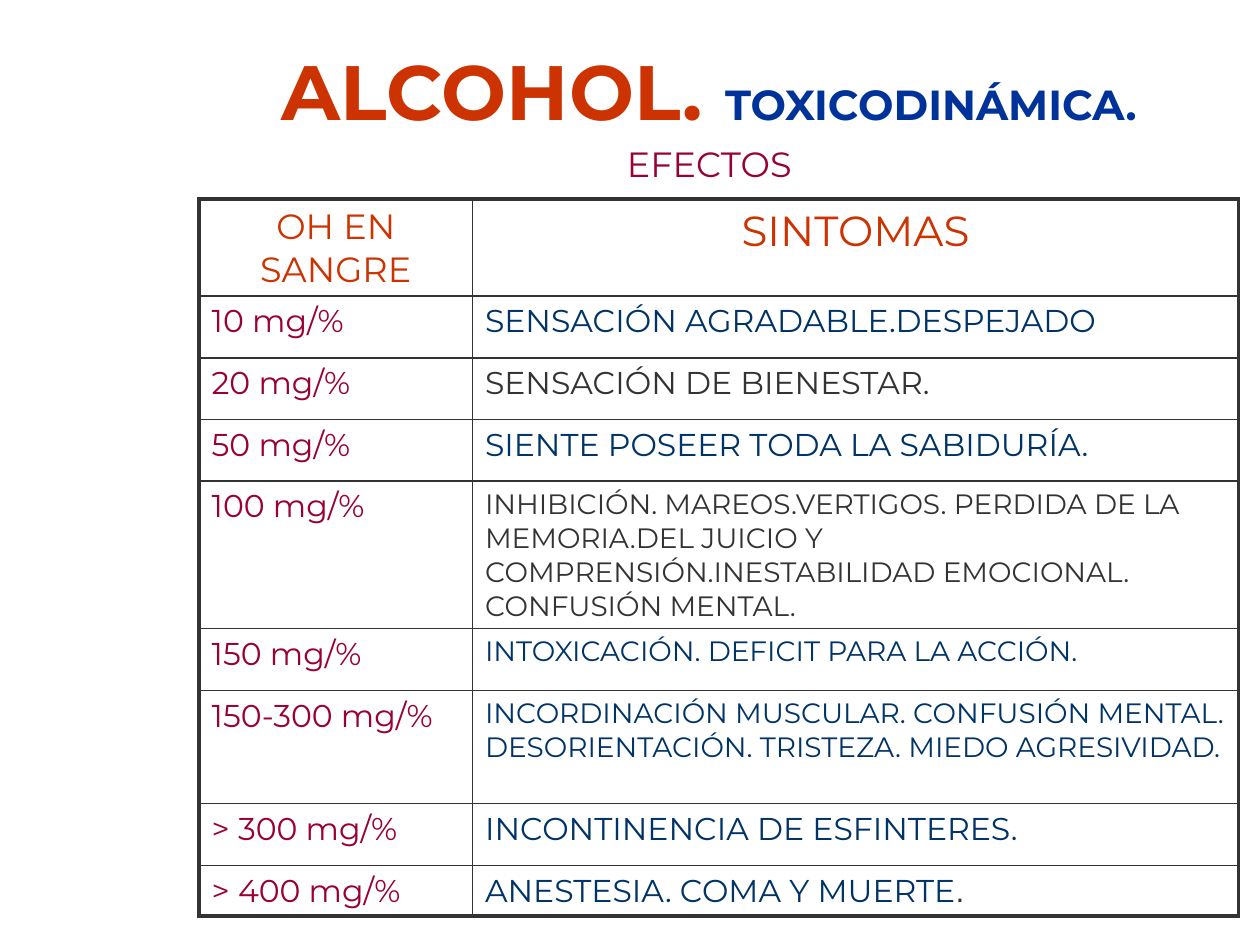
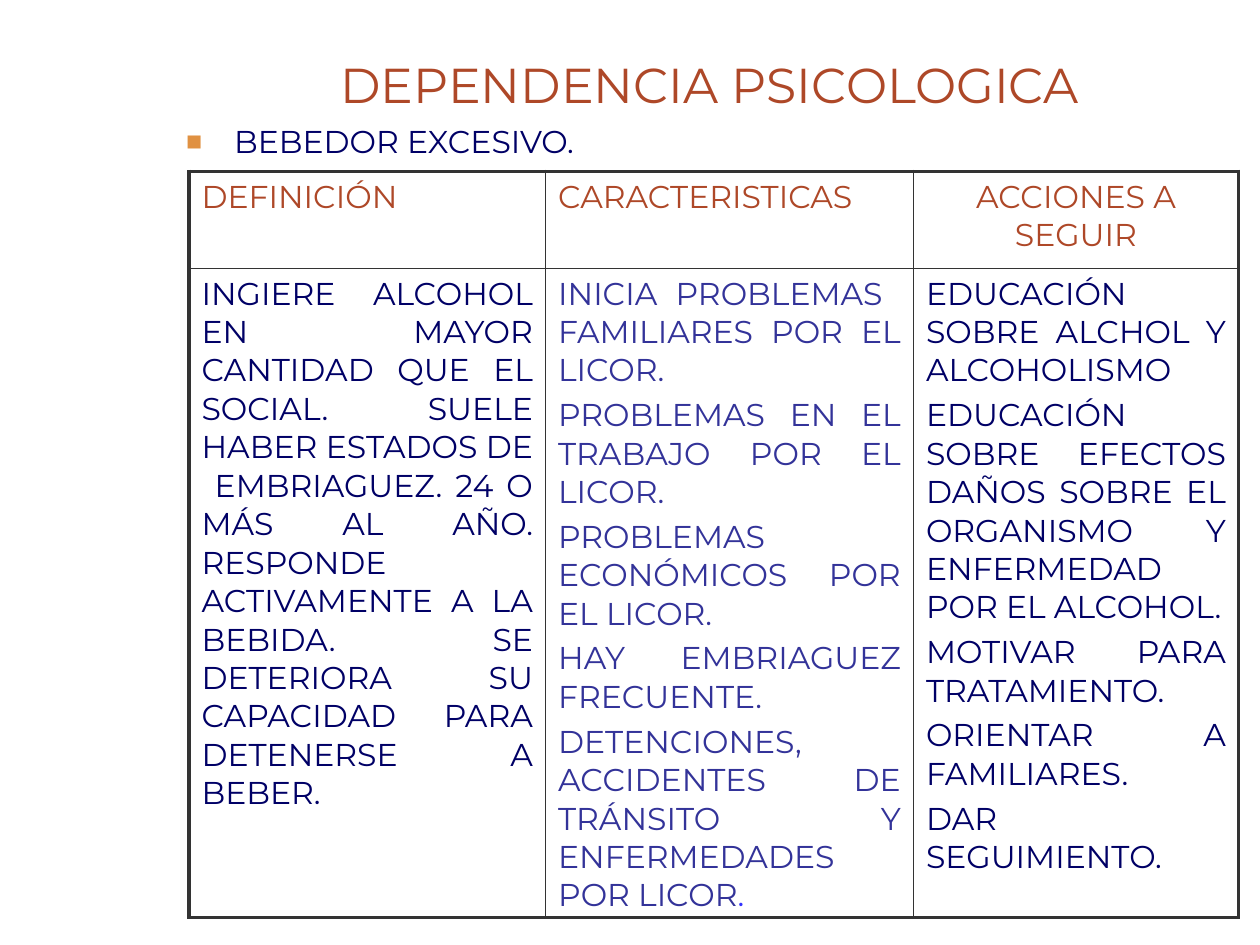
from dataclasses import dataclass

from lxml import etree
from pptx import Presentation
from pptx.dml.color import RGBColor
from pptx.enum.text import MSO_ANCHOR, PP_ALIGN
from pptx.oxml.ns import qn
from pptx.util import Inches, Pt

FONT = "Montserrat"
ORANGE = RGBColor(0xCC, 0x33, 0x00)
BLUE = RGBColor(0x00, 0x33, 0x99)
WINE = RGBColor(0x99, 0x00, 0x33)
TEAL = RGBColor(0x00, 0x33, 0x66)
GRAY = RGBColor(0x33, 0x33, 0x33)
RUST = RGBColor(0xAE, 0x48, 0x28)
NAVY = RGBColor(0x00, 0x00, 0x66)
INDIGO = RGBColor(0x33, 0x33, 0x99)
BRIGHT_BLUE = RGBColor(0x33, 0x33, 0xFF)
BULLET_COLOR = RGBColor(0xE0, 0x91, 0x42)

TEXT_LEFT, TEXT_WIDTH = 1.38, 8.5
OUTER_LINE, INNER_LINE = Pt(2.25), Pt(1)

LEFT, CENTER, JUSTIFY = PP_ALIGN.LEFT, PP_ALIGN.CENTER, PP_ALIGN.JUSTIFY


@dataclass
class Run:
    text: str
    size: int
    color: RGBColor
    bold: bool = False
    font: str = FONT


@dataclass
class Cell:
    """Paragraphs, each a list of runs, that share one alignment."""
    paragraphs: list
    alignment: PP_ALIGN = LEFT


def simple_cell(text, size, color, alignment=LEFT):
    return Cell([[Run(text, size, color)]], alignment)


EFFECTS = [
    ("10 mg/%", "SENSACIÓN AGRADABLE.DESPEJADO", 18, TEAL),
    ("20 mg/%", "SENSACIÓN DE BIENESTAR.", 18, GRAY),
    ("50 mg/%", "SIENTE POSEER TODA LA SABIDURÍA.", 18, TEAL),
    ("100 mg/%", "INHIBICIÓN. MAREOS.VERTIGOS. PERDIDA DE LA MEMORIA.DEL JUICIO Y "
     "COMPRENSIÓN.INESTABILIDAD EMOCIONAL. CONFUSIÓN MENTAL.", 16, GRAY),
    ("150 mg/%", "INTOXICACIÓN. DEFICIT PARA LA ACCIÓN.", 16, TEAL),
    ("150-300 mg/%", "INCORDINACIÓN MUSCULAR. CONFUSIÓN MENTAL. DESORIENTACIÓN. "
     "TRISTEZA. MIEDO AGRESIVIDAD.", 16, TEAL),
    ("> 300 mg/%", "INCONTINENCIA DE ESFINTERES.", 18, TEAL),
    ("> 400 mg/%", "ANESTESIA. COMA Y MUERTE", 18, TEAL),
]
DEFINITION = (
    "INGIERE ALCOHOL EN MAYOR CANTIDAD QUE EL SOCIAL. SUELE HABER ESTADOS DE  EMBRIAGUEZ. "
    "24 O MÁS AL AÑO. RESPONDE ACTIVAMENTE A LA BEBIDA. SE DETERIORA SU CAPACIDAD PARA "
    "DETENERSE A BEBER."
)
FEATURES = [
    "INICIA PROBLEMAS  FAMILIARES POR EL LICOR.",
    "PROBLEMAS EN EL TRABAJO POR EL LICOR.",
    "PROBLEMAS ECONÓMICOS POR EL LICOR.",
    "HAY EMBRIAGUEZ FRECUENTE.",
    "DETENCIONES, ACCIDENTES DE TRÁNSITO Y ENFERMEDADES POR LICOR",
]
ACTIONS = [
    "EDUCACIÓN SOBRE ALCHOL Y ALCOHOLISMO",
    "EDUCACIÓN SOBRE EFECTOS DAÑOS SOBRE EL ORGANISMO Y ENFERMEDAD POR EL ALCOHOL.",
    "MOTIVAR PARA TRATAMIENTO.",
    "ORIENTAR A FAMILIARES.",
    "DAR SEGUIMIENTO.",
]


def write_paragraph(paragraph, runs, alignment, spaced=True):
    paragraph.alignment = alignment
    if spaced:
        paragraph.space_before = Pt(0.2 * runs[0].size)
    for item in runs:
        run = paragraph.add_run()
        run.text = item.text
        run.font.name = item.font
        run.font.size = Pt(item.size)
        run.font.bold = item.bold
        run.font.color.rgb = item.color


def add_text_box(slide, top, height):
    box = slide.shapes.add_textbox(
        Inches(TEXT_LEFT), Inches(top), Inches(TEXT_WIDTH), Inches(height))
    box.text_frame.word_wrap = True
    return box.text_frame


def add_title(slide, height, runs):
    frame = add_text_box(slide, 0.5, height)
    frame.vertical_anchor = MSO_ANCHOR.MIDDLE
    write_paragraph(frame.paragraphs[0], runs, CENTER, spaced=False)


def add_subtitle(slide, top, height, run, alignment=LEFT, bullet=False):
    paragraph = add_text_box(slide, top, height).paragraphs[0]
    write_paragraph(paragraph, [run], alignment)
    properties = paragraph._p.get_or_add_pPr()
    properties.set("marL", str(Inches(0.38)))
    properties.set("indent", str(Inches(-0.38)))
    if bullet:
        color = etree.SubElement(properties, qn("a:buClr"))
        etree.SubElement(color, qn("a:srgbClr"), val=str(BULLET_COLOR))
        etree.SubElement(properties, qn("a:buSzPct"), val="85000")
        etree.SubElement(properties, qn("a:buFont"), typeface="Arial")
        etree.SubElement(properties, qn("a:buChar"), char="■")


def set_borders(cell, outer_sides):
    """Draw all four borders, thicker on the sides that face out of the table."""
    properties = cell._tc.get_or_add_tcPr()
    for side in "LRTB":
        width = OUTER_LINE if side in outer_sides else INNER_LINE
        line = etree.SubElement(properties, qn(f"a:ln{side}"), w=str(width))
        fill = etree.SubElement(line, qn("a:solidFill"))
        etree.SubElement(fill, qn("a:srgbClr"), val=str(GRAY))


def fill_cell(cell, content, outer_sides):
    set_borders(cell, outer_sides)
    cell.fill.background()
    frame = cell.text_frame
    for index, runs in enumerate(content.paragraphs):
        paragraph = frame.add_paragraph() if index else frame.paragraphs[0]
        write_paragraph(paragraph, runs, content.alignment)


def add_bordered_table(slide, left, top, widths, heights, rows):
    table = slide.shapes.add_table(
        len(heights), len(widths), Inches(left), Inches(top),
        Inches(sum(widths)), Inches(sum(heights))).table
    table.first_row = table.horz_banding = False
    for column, width in zip(table.columns, widths):
        column.width = Inches(width)
    for row, height in zip(table.rows, heights):
        row.height = Inches(height)
    last_row, last_column = len(heights) - 1, len(widths) - 1
    for r, row in enumerate(rows):
        for c, content in enumerate(row):
            edges = {"L": c == 0, "R": c == last_column, "T": r == 0, "B": r == last_row}
            outer_sides = [side for side, is_outer in edges.items() if is_outer]
            fill_cell(table.cell(r, c), content, outer_sides)


def build_effects_slide(slide):
    add_title(slide, 0.42, [Run("ALCOHOL. ", 44, ORANGE, True),
                            Run("TOXICODINÁMICA.", 24, BLUE, True)])
    add_subtitle(slide, 1.08, 6, Run("EFECTOS", 20, WINE), CENTER)
    rows = [[simple_cell("OH EN SANGRE", 20, ORANGE, CENTER),
             simple_cell("SINTOMAS", 24, ORANGE, CENTER)]]
    for level, symptoms, size, color in EFFECTS:
        rows.append([simple_cell(level, 18, WINE), simple_cell(symptoms, size, color)])
    rows[-1][1].paragraphs[0].append(Run(".", 18, GRAY, font="Arial"))
    heights = [0.77, 0.49, 0.49, 0.49, 1.17, 0.49, 0.9, 0.49, 0.4]
    add_bordered_table(slide, 1.58, 1.58, [2.17, 6.08], heights, rows)


def build_dependence_slide(slide):
    add_title(slide, 0.33, [Run("DEPENDENCIA PSICOLOGICA", 28, RUST)])
    add_subtitle(slide, 0.92, 6.58, Run("BEBEDOR EXCESIVO.", 18, NAVY), bullet=True)
    features = [[Run(text, 18, INDIGO)] for text in FEATURES]
    features[-1].append(Run(".", 18, BRIGHT_BLUE))
    actions = [[Run(text, 18, NAVY)] for text in ACTIONS]
    rows = [
        [simple_cell("DEFINICIÓN", 18, RUST),
         simple_cell("CARACTERISTICAS", 18, RUST),
         simple_cell("ACCIONES A SEGUIR", 18, RUST, CENTER)],
        [simple_cell(DEFINITION, 18, NAVY, JUSTIFY),
         Cell(features, JUSTIFY),
         Cell(actions, JUSTIFY)],
    ]
    add_bordered_table(slide, 1.5, 1.36, [2.83, 2.92, 2.58], [0.77, 5.15], rows)


def main():
    presentation = Presentation()
    presentation.slide_width, presentation.slide_height = Inches(10), Inches(7.5)
    blank = presentation.slide_layouts[6]
    for build in (build_effects_slide, build_dependence_slide):
        build(presentation.slides.add_slide(blank))
    presentation.save("out.pptx")


if __name__ == "__main__":
    main()
